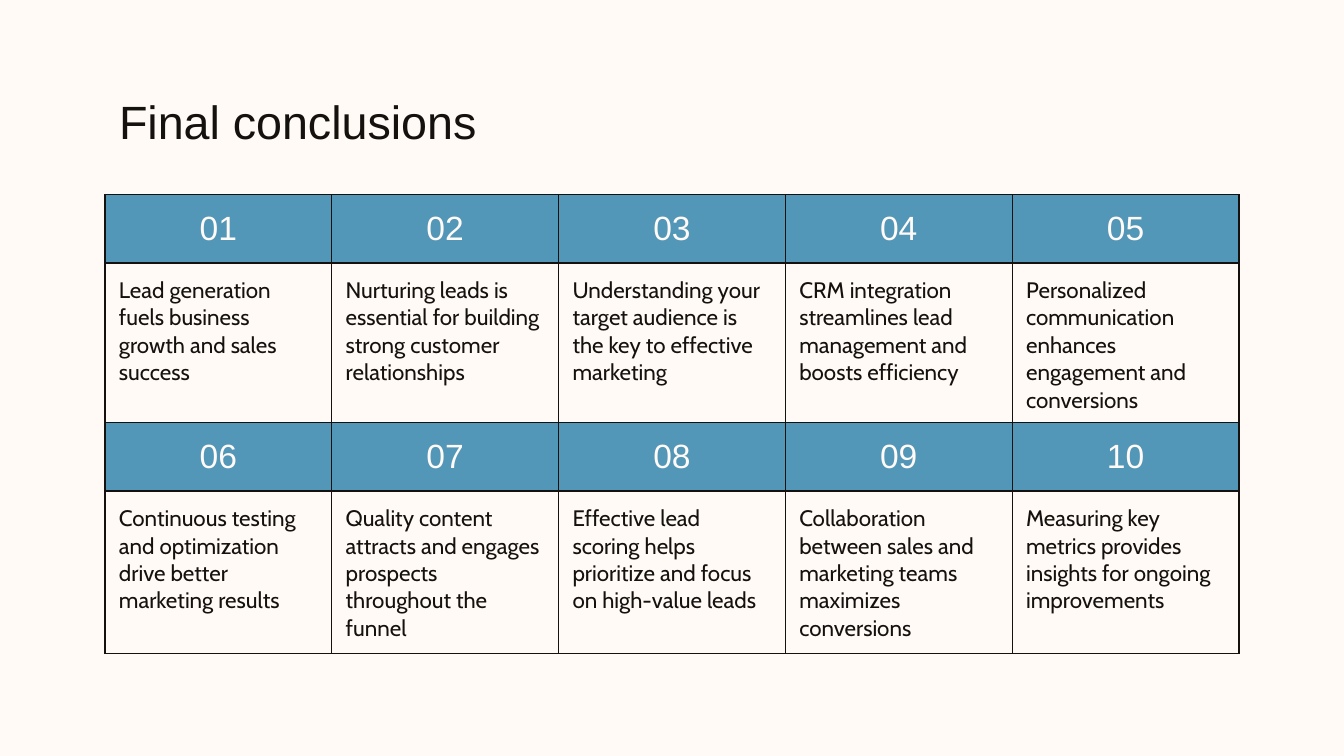
from lxml.etree import SubElement
from pptx import Presentation
from pptx.dml.color import RGBColor as RGB
from pptx.enum.text import MSO_ANCHOR as ANCHOR, PP_ALIGN as ALIGN
from pptx.oxml.ns import qn
from pptx.util import Pt

PX = 9525
COLORS = {"paper": "FFFAF6", "ink": "15110E", "blue": "5296B8"}
LEFT, WIDTH, INSET = 75, 810, 10
HEADER_HEIGHT, BODY_HEIGHT = 48, 115
TABLE_TOP = 139
BORDER = Pt(0.75)

CONCLUSIONS = [
    [
        "Lead generation fuels business growth and sales success",
        "Nurturing leads is essential for building strong customer relationships",
        "Understanding your target audience is the key to effective marketing",
        "CRM integration streamlines lead management and boosts efficiency",
        "Personalized communication enhances engagement and conversions",
    ],
    [
        "Continuous testing and optimization drive better marketing results",
        "Quality content attracts and engages prospects throughout the funnel",
        "Effective lead scoring helps prioritize and focus on high-value leads",
        "Collaboration between sales and marketing teams maximizes conversions",
        "Measuring key metrics provides insights for ongoing improvements",
    ],
]


def write(holder, text, size, font="Arial", color="ink", align=ALIGN.LEFT, anchor=ANCHOR.TOP):
    holder.margin_left = holder.margin_right = INSET * PX
    holder.margin_top = holder.margin_bottom = INSET * PX
    holder.vertical_anchor = anchor
    frame = getattr(holder, "text_frame", holder)
    frame.word_wrap = True
    paragraph = frame.paragraphs[0]
    paragraph.alignment = align
    run = paragraph.add_run()
    run.text = text
    run.font.size = Pt(size)
    run.font.name = font
    run.font.color.rgb = RGB.from_string(COLORS[color])


def add_borders(cell):
    properties = cell._tc.get_or_add_tcPr()
    for side in ("a:lnL", "a:lnR", "a:lnT", "a:lnB"):
        line = SubElement(properties, qn(side), w=str(BORDER))
        fill = SubElement(line, qn("a:solidFill"))
        SubElement(fill, qn("a:srgbClr"), val=COLORS["ink"])


prs = Presentation()
prs.slide_width, prs.slide_height = 960 * PX, 540 * PX
slide = prs.slides.add_slide(prs.slide_layouts[6])
slide.background.fill.solid()
slide.background.fill.fore_color.rgb = RGB.from_string(COLORS["paper"])

title = slide.shapes.add_textbox(LEFT * PX, 57 * PX, WIDTH * PX, 58 * PX)
write(title.text_frame, "Final conclusions", 25, anchor=ANCHOR.MIDDLE)

for group, sentences in enumerate(CONCLUSIONS):
    columns = len(sentences)
    height = HEADER_HEIGHT + BODY_HEIGHT
    top = TABLE_TOP + group * height
    conclusions = slide.shapes.add_table(
        2, columns, LEFT * PX, top * PX, WIDTH * PX, height * PX
    ).table
    conclusions.first_row = conclusions.horz_banding = False
    conclusions.rows[0].height = HEADER_HEIGHT * PX
    conclusions.rows[1].height = BODY_HEIGHT * PX

    for column, sentence in enumerate(sentences):
        conclusions.columns[column].width = WIDTH // columns * PX
        number, statement = (conclusions.cell(row, column) for row in range(2))
        add_borders(number)
        add_borders(statement)
        number.fill.solid()
        number.fill.fore_color.rgb = RGB.from_string(COLORS["blue"])
        statement.fill.background()
        write(number, f"{group * columns + column + 1:02}", 18, color="paper",
              align=ALIGN.CENTER, anchor=ANCHOR.MIDDLE)
        write(statement, sentence, 12, font="Cabin")

prs.save("out.pptx")
